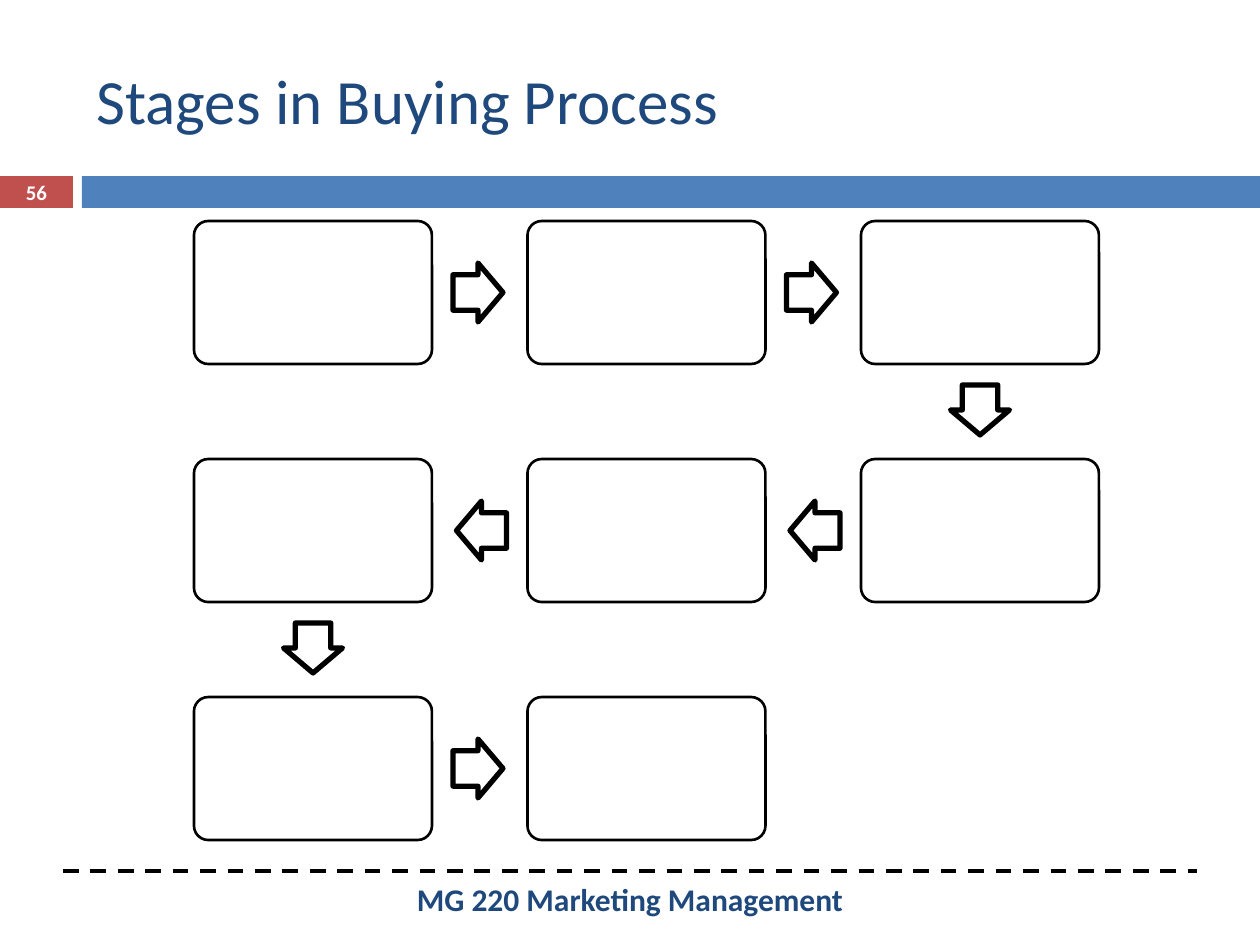
from dataclasses import dataclass
from itertools import pairwise

from lxml import etree
from pptx import Presentation
from pptx.dml.color import RGBColor
from pptx.enum.dml import MSO_LINE
from pptx.enum.shapes import MSO_CONNECTOR, MSO_SHAPE
from pptx.enum.text import MSO_ANCHOR, PP_ALIGN
from pptx.oxml.ns import qn
from pptx.util import Pt

RECT = MSO_SHAPE.RECTANGLE
ROUND = MSO_SHAPE.ROUNDED_RECTANGLE
ARROW = MSO_SHAPE.RIGHT_ARROW
STRAIGHT = MSO_CONNECTOR.STRAIGHT
DASH = MSO_LINE.DASH
MIDDLE = MSO_ANCHOR.MIDDLE
LEFT, CENTER = PP_ALIGN.LEFT, PP_ALIGN.CENTER


@dataclass(frozen=True)
class Theme:
    font: str = "Calibri"
    navy: str = "1F497D"
    blue: str = "4F81BD"
    red: str = "C0504D"
    white: str = "FFFFFF"
    black: str = "000000"
    title: float = 36
    foot: float = 18
    num: float = 11.9


THEME = Theme()
SCALE = 914400 / 126


def emu(*px):
    return [round(n * SCALE) for n in px]


def rgb(code):
    return RGBColor.from_string(code)


def add_shape(shapes, kind, box, fill, width=0):
    shape = shapes.add_shape(kind, *emu(*box))
    shape.shadow.inherit = False
    shape.fill.solid()
    shape.fill.fore_color.rgb = rgb(fill)
    if width:
        shape.line.color.rgb = rgb(THEME.black)
        shape.line.width = Pt(width)
    else:
        shape.line.fill.background()
    return shape


def add_text(shapes, box, text, size, color, bold=False, align=CENTER):
    frame = shapes.add_textbox(*emu(*box)).text_frame
    frame.word_wrap = True
    frame.vertical_anchor = MIDDLE
    para = frame.paragraphs[0]
    para.alignment = align
    run = para.add_run()
    run.text = text
    run.font.name = THEME.font
    run.font.size = Pt(size)
    run.font.bold = bold
    run.font.color.rgb = rgb(color)


def add_head(shapes, x, y, w, h):
    # Title above a band that holds the slide number
    band, tab, gap = 32, 73, 9
    top = y + h - band
    add_text(shapes, (x + 84, y + 31, 1124, 136), "Stages in Buying Process",
             THEME.title, THEME.navy, align=LEFT)
    add_shape(shapes, RECT, (x, top, tab, band), THEME.red)
    add_shape(shapes, RECT, (x + tab + gap, top, w - tab - gap, band),
              THEME.blue)
    add_text(shapes, (x, top, tab, band), "56", THEME.num, THEME.white, True)


def add_flow(shapes, x, y, w, h):
    # Eight stages that snake through a grid of three columns
    cols, rows, count = 3, 3, 8
    wide, high = 238, 143
    long, thick, gap = 50, 59, 21
    step_x = (w - wide) / (cols - 1)
    step_y = (h - high) / (rows - 1)
    group = shapes.add_group_shape().shapes

    cells = []
    for i in range(count):
        row, col = divmod(i, cols)
        cells.append((cols - 1 - col if row % 2 else col, row))

    # Stage boxes
    for col, row in cells:
        box = (x + col * step_x, y + row * step_y, wide, high)
        add_shape(group, ROUND, box, THEME.white, 1.5).adjustments[0] = 0.1

    # Arrows, each set at the same gap from the stage it leaves
    for (col, row), (col2, row2) in pairwise(cells):
        dx, dy = col2 - col, row2 - row
        mid_x = x + col * step_x + wide / 2 + dx * (wide / 2 + gap + long / 2)
        mid_y = y + row * step_y + high / 2 + dy * (high / 2 + gap + long / 2)
        box = (mid_x - long / 2, mid_y - thick / 2, long, thick)
        arrow = add_shape(group, ARROW, box, THEME.white, 3)
        arrow.adjustments[0] = 0.6
        arrow.adjustments[1] = 0.5
        arrow.rotation = 90 if dy else 180 if dx < 0 else 0


def add_foot(shapes, x, y, w, h):
    # Dashed rule over the course name
    rule = shapes.add_connector(STRAIGHT, *emu(x, y, x + w, y))
    rule.line.color.rgb = rgb(THEME.black)
    rule.line.width = Pt(2.25)
    rule.line.dash_style = DASH
    etree.SubElement(rule._element.spPr, qn("a:effectLst"))
    add_text(shapes, (x + 21, y + 1, w - 42, h - 1),
             "MG 220 Marketing Management", THEME.foot, THEME.navy, True)


def main():
    deck = Presentation()
    deck.slide_width, deck.slide_height = emu(1260, 945)
    shapes = deck.slides.add_slide(deck.slide_layouts[6]).shapes
    add_head(shapes, 0, 0, 1260, 208)
    add_flow(shapes, 194, 221, 905, 619)
    add_foot(shapes, 63, 871, 1134, 54)
    deck.save("out.pptx")


if __name__ == "__main__":
    main()
